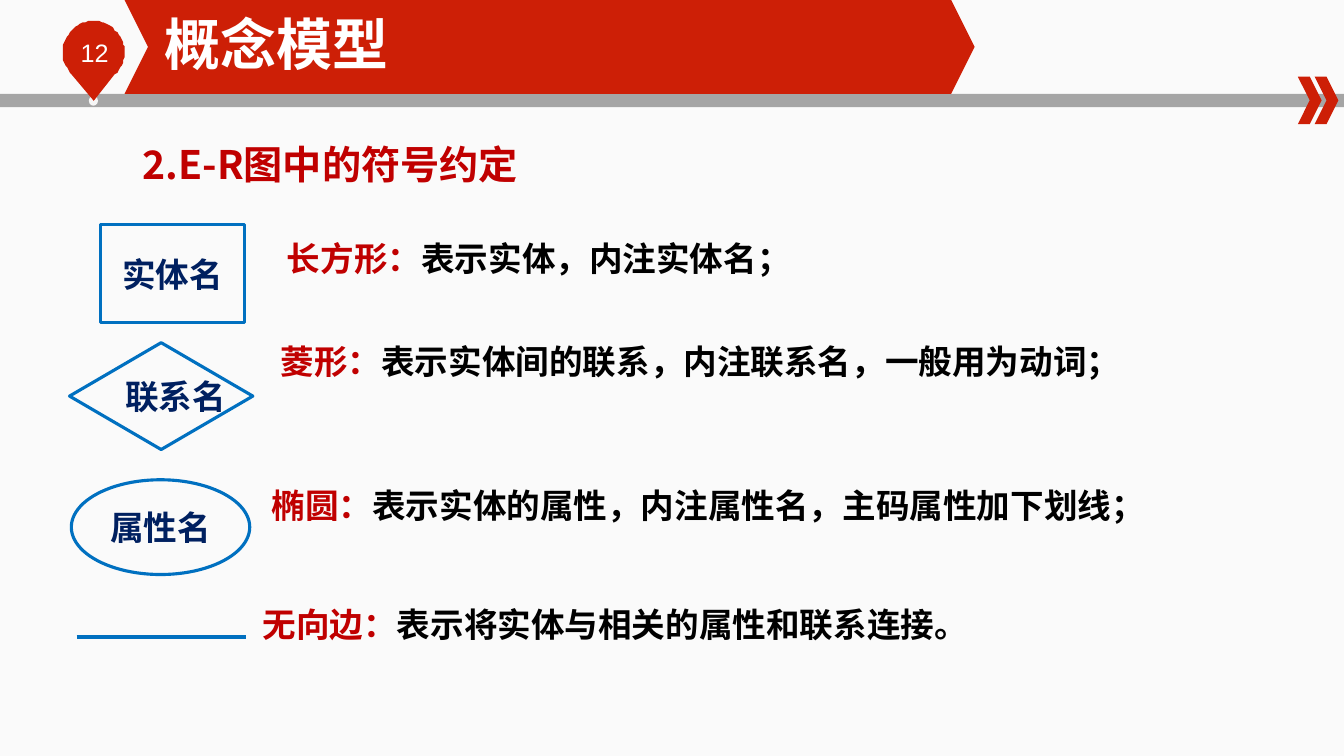
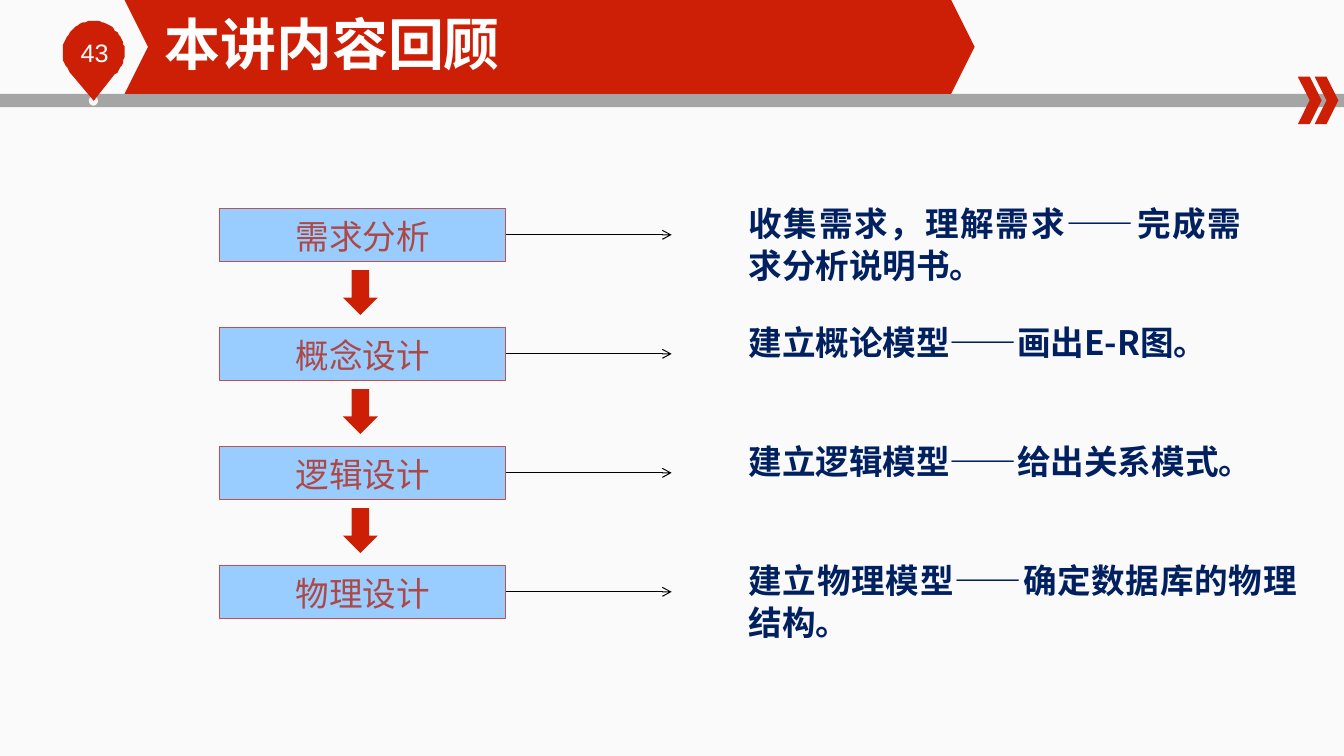
import math

from lxml import etree
from pptx import Presentation
from pptx.dml.color import RGBColor
from pptx.enum.shapes import MSO_CONNECTOR, MSO_SHAPE
from pptx.enum.text import MSO_ANCHOR, PP_ALIGN
from pptx.oxml.ns import qn
from pptx.util import Pt

RECT, OVAL = MSO_SHAPE.RECTANGLE, MSO_SHAPE.OVAL
DIAMOND, CHEVRON = MSO_SHAPE.FLOWCHART_DECISION, MSO_SHAPE.CHEVRON
DOWN_ARROW = MSO_SHAPE.DOWN_ARROW
STRAIGHT = MSO_CONNECTOR.STRAIGHT
TOP, MIDDLE = MSO_ANCHOR.TOP, MSO_ANCHOR.MIDDLE
LEFT, CENTER, JUSTIFY = PP_ALIGN.LEFT, PP_ALIGN.CENTER, PP_ALIGN.JUSTIFY

RED = RGBColor(0xCD, 0x1F, 0x06)
DARK_RED = RGBColor(0xC0, 0x00, 0x00)
BRICK = RGBColor(0xC0, 0x50, 0x4D)
BRICK_TEXT = RGBColor(0xAE, 0x48, 0x45)
NAVY = RGBColor(0x00, 0x20, 0x60)
BLUE = RGBColor(0x00, 0x70, 0xC0)
SKY = RGBColor(0x99, 0xCC, 0xFF)
GRAY = RGBColor(0xA5, 0xA5, 0xA5)
DOT = RGBColor(0xF6, 0xF6, 0xF6)
BG_TOP = RGBColor(0xFA, 0xFA, 0xFA)
BG_BOTTOM = RGBColor(0xFC, 0xFC, 0xFC)
BLACK = RGBColor(0, 0, 0)
WHITE = RGBColor(0xFF, 0xFF, 0xFF)

LATIN, CJK = "Arial", "Noto Sans CJK SC"
SLIDE_W, SLIDE_H = 960.5, 540


class Deck:
    def __init__(self):
        self.prs = Presentation()
        self.prs.slide_width, self.prs.slide_height = Pt(SLIDE_W), Pt(SLIDE_H)
        self.s = None

    def slide(self, number, title):
        self.s = self.prs.slides.add_slide(self.prs.slide_layouts[6])
        fill = self.s.background.fill
        fill.gradient()
        fill.gradient_angle = 270
        for stop, color in zip(fill.gradient_stops, (BG_TOP, BG_BOTTOM)):
            stop.color.rgb = color
        self.shape(RECT, 0, 67, SLIDE_W, 9.5, GRAY)
        self.shape(OVAL, 63.5, 68.5, 6.5, 7, DOT)
        self.pin(66.8, 37.3, 22.2, 71.5)
        self.text(50.5, 23, 55, 29, [(number, WHITE)], size=18, bold=False)
        for x in (927.5, 939.5):
            self.shape(CHEVRON, x, 54.7, 17, 34, RED, adj=0.5)
        self.shape(CHEVRON, 89, 0, 607.5, 67, RED, adj=0.25)
        tf = self.text(117.5, 6.5, 476, 48, [(title, WHITE)], size=40,
                       font=CJK, anchor=MIDDLE)
        tf.margin_left = tf.margin_right = tf.margin_top = tf.margin_bottom = 0

    def pin(self, cx, cy, radius, tip_y):
        """Draw a round map pin whose tip lies straight below its centre."""
        arc = [(cx + radius * math.cos(math.radians(a)),
                cy + radius * math.sin(math.radians(a)))
               for a in range(135, 406, 5)]
        builder = self.s.shapes.build_freeform(cx, tip_y, scale=Pt(1))
        builder.add_line_segments(arc, close=True)
        self.paint(builder.convert_to_shape(), RED)

    def paint(self, sp, fill=None, line=None, width=0.75):
        sp.shadow.inherit = False
        if fill is None:
            sp.fill.background()
        else:
            sp.fill.solid()
            sp.fill.fore_color.rgb = fill
        if line is None:
            sp.line.fill.background()
        else:
            sp.line.color.rgb = line
            sp.line.width = Pt(width)

    def shape(self, kind, x, y, w, h, fill=None, line=None, width=0.75,
              adj=None):
        sp = self.s.shapes.add_shape(kind, Pt(x), Pt(y), Pt(w), Pt(h))
        self.paint(sp, fill, line, width)
        if adj is not None:
            sp.adjustments[0] = adj
        return sp

    def set_text(self, tf, runs, size=24, bold=True, font=LATIN, align=LEFT,
                 anchor=TOP, wrap=True, spacing=None, indent=0):
        """Fill a text frame with one paragraph of (text, colour) runs."""
        tf.word_wrap = wrap
        tf.vertical_anchor = anchor
        p = tf.paragraphs[0]
        p.alignment = align
        if spacing:
            p.line_spacing = spacing
        if indent:
            pPr = p._p.get_or_add_pPr()
            pPr.set("marL", str(Pt(indent)))
            pPr.set("indent", "0")
        p.font.size, p.font.bold, p.font.name = Pt(size), bold, font
        ea = etree.SubElement(p._p.pPr.find(qn("a:defRPr")), qn("a:ea"))
        ea.set("typeface", CJK)
        for text, color in runs:
            r = p.add_run()
            r.text = text
            r.font.color.rgb = color
        return tf

    def text(self, x, y, w, h, runs, **style):
        box = self.s.shapes.add_textbox(Pt(x), Pt(y), Pt(w), Pt(h))
        return self.set_text(box.text_frame, runs, **style)

    def body(self, x, y, w, h, text, color, size=24):
        """Add an indented, justified bold text."""
        self.text(x, y, w, h, [(text, color)], size=size, font=CJK,
                  align=JUSTIFY, spacing=1.05, indent=36)

    def line(self, x1, y1, x2, y2, color, width, arrow=False):
        cx = self.s.shapes.add_connector(STRAIGHT, Pt(x1), Pt(y1), Pt(x2),
                                         Pt(y2))
        cx.line.color.rgb = color
        cx.line.width = Pt(width)
        spPr = cx._element.spPr
        if arrow:
            tail = etree.SubElement(spPr.find(qn("a:ln")), qn("a:tailEnd"))
            tail.set("type", "arrow")
        etree.SubElement(spPr, qn("a:effectLst"))


def symbols_slide(deck):
    deck.slide("12", "概念模型")
    deck.body(59, 95, 812, 42.5, "2.E-R图中的符号约定", DARK_RED, size=28)

    symbols = [
        (RECT, 72, 160.5, 103, 70, "实体名", CENTER),
        (DIAMOND, 49.7, 244.8, 131, 76.3, "联系名", LEFT),
        (OVAL, 51, 342.7, 127.5, 67.7, "属性名", CENTER),
    ]
    for kind, x, y, w, h, name, align in symbols:
        sp = deck.shape(kind, x, y, w, h, line=BLUE, width=2.25)
        deck.set_text(sp.text_frame, [(name, NAVY)], align=align,
                      anchor=MIDDLE, wrap=False)
    deck.line(54.7, 455, 175.7, 455, BLUE, 2.25)

    meanings = [
        (198, 166.5, "长方形：", "表示实体，内注实体名；"),
        (193.5, 240.3, "菱形：", "表示实体间的联系，内注联系名，一般用为动词；"),
        (187, 343, "椭圆：", "表示实体的属性，内注属性名，主码属性加下划线；"),
        (180.5, 428, "无向边：", "表示将实体与相关的属性和联系连接。"),
    ]
    for x, y, term, meaning in meanings:
        deck.text(x, y, 710, 36, [(term, DARK_RED), (meaning, BLACK)])


def review_slide(deck):
    deck.slide("43", "本讲内容回顾")
    steps = [
        ("需求分析", "收集需求，理解需求——完成需求分析说明书。", 402.5),
        ("概念设计", "建立概论模型——画出E-R图。", 402.5),
        ("逻辑设计", "建立逻辑模型——给出关系模式。", 442),
        ("物理设计", "建立物理模型——确定数据库的物理结构。", 442),
    ]
    pitch, box_x, box_w, box_h = 85, 157, 204.5, 37.5
    for i, (step, result, result_w) in enumerate(steps):
        y = 149 + i * pitch
        deck.body(491.8, y - 9.3, result_w, 67.5, result, NAVY)
        sp = deck.shape(RECT, box_x, y, box_w, box_h, SKY, BRICK)
        deck.set_text(sp.text_frame, [(step, BRICK_TEXT)], bold=False,
                      align=CENTER, spacing=1.05)
        mid = y + box_h / 2
        deck.line(box_x + box_w, mid, 480, mid, BLACK, 0.75, arrow=True)
        if i < len(steps) - 1:
            deck.shape(DOWN_ARROW, 245, y + 44, 25, 32, RED)


def main():
    deck = Deck()
    symbols_slide(deck)
    review_slide(deck)
    deck.prs.save("out.pptx")


if __name__ == "__main__":
    main()
